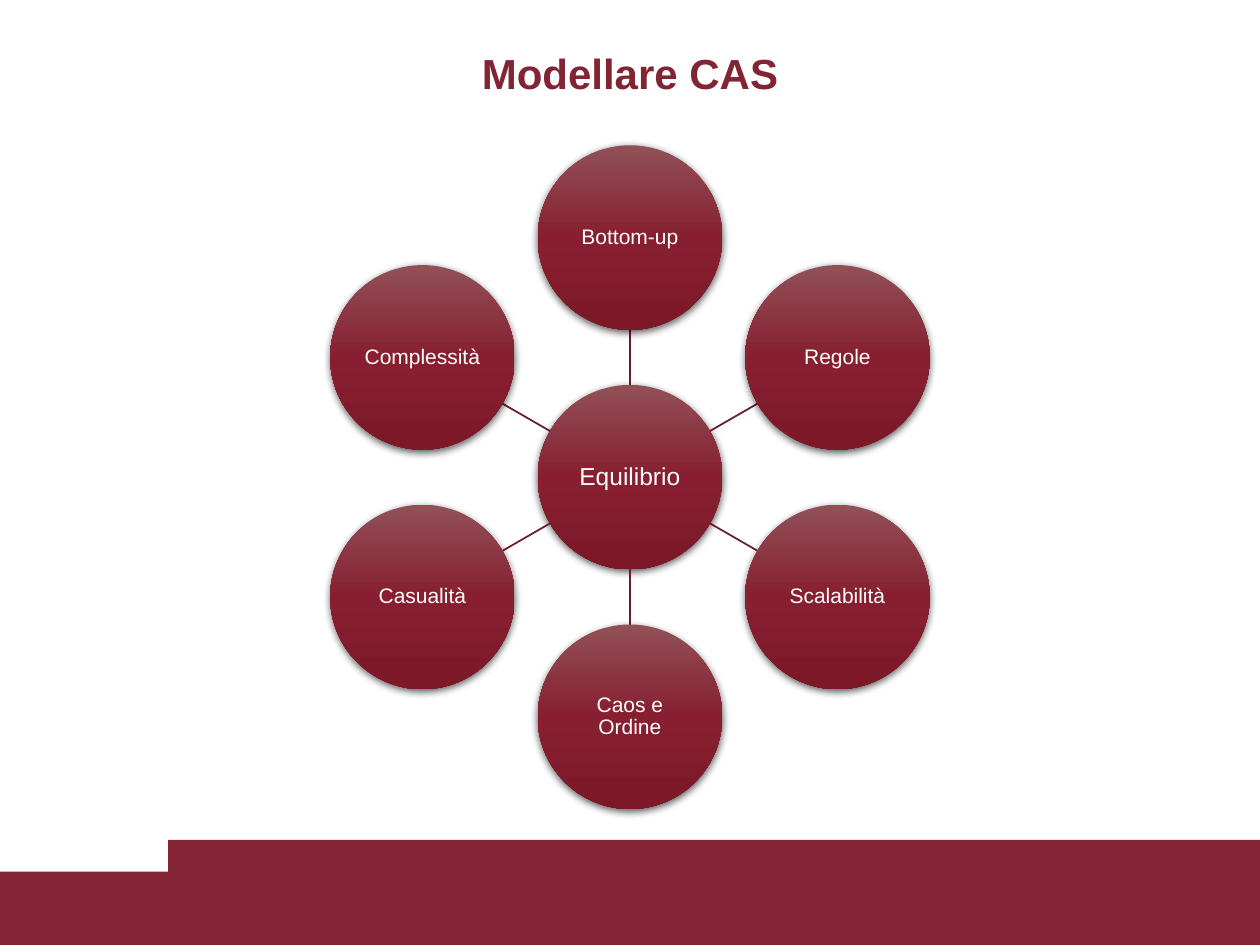
import copy
import math

import lxml.etree
import pptx
import pptx.dml.color
import pptx.enum.shapes
import pptx.enum.text
import pptx.oxml.ns
import pptx.util

Cm, Pt = pptx.util.Cm, pptx.util.Pt
RGBColor = pptx.dml.color.RGBColor
MSO_SHAPE = pptx.enum.shapes.MSO_SHAPE
PP_ALIGN = pptx.enum.text.PP_ALIGN
MSO_ANCHOR = pptx.enum.text.MSO_ANCHOR
qn = pptx.oxml.ns.qn

BURGUNDY = RGBColor(0x82, 0x24, 0x33)
SPOKE = RGBColor(0x68, 0x1D, 0x29)
WHITE = RGBColor(0xFF, 0xFF, 0xFF)
GRADIENT = [(0, RGBColor(0x91, 0x50, 0x57)),
            (0.5, RGBColor(0x87, 0x1F, 0x30)),
            (1, RGBColor(0x7C, 0x18, 0x28))]
FONT = "Arial"

# Wheel geometry in cm
CX, CY = 12.7, 9.62
RADIUS = 4.83
DIAMETER = 3.72
TOPICS = ["Bottom-up", "Regole", "Scalabilità",
          "Caos e Ordine", "Casualità", "Complessità"]


def add_circle(s, x, y, text, size):
    """Add a shaded circle centred on x, y."""
    sp = s.shapes.add_shape(MSO_SHAPE.OVAL, Cm(x - DIAMETER / 2),
                            Cm(y - DIAMETER / 2), Cm(DIAMETER), Cm(DIAMETER))
    sp.line.fill.background()

    # Three-stop gradient, top to bottom
    sp.fill.gradient()
    sp.fill.gradient_angle = 270
    stops = sp._element.spPr.find(".//" + qn("a:gsLst"))
    stops.insert(1, copy.deepcopy(stops[0]))
    for stop, (position, color) in zip(sp.fill.gradient_stops, GRADIENT):
        stop.position = position
        stop.color.rgb = color

    # Soft shadow below
    sp.shadow.inherit = False
    effects = sp._element.spPr.find(qn("a:effectLst"))
    shadow = lxml.etree.SubElement(
        effects, qn("a:outerShdw"), blurRad=str(Pt(4.5)), dist=str(Pt(1.5)),
        dir="5400000", rotWithShape="0")
    black = lxml.etree.SubElement(shadow, qn("a:srgbClr"), val="000000")
    lxml.etree.SubElement(black, qn("a:alpha"), val="63000")

    tf = sp.text_frame
    tf.word_wrap = True
    tf.vertical_anchor = MSO_ANCHOR.MIDDLE
    tf.margin_left = tf.margin_right = Cm(0.02)
    tf.margin_top = tf.margin_bottom = Cm(0.02)
    p = tf.paragraphs[0]
    p.text = text
    p.alignment = PP_ALIGN.CENTER
    p.line_spacing = 0.9
    p.font.name = FONT
    p.font.size = Pt(size)
    p.font.color.rgb = WHITE


prs = pptx.Presentation()
prs.slide_width, prs.slide_height = Cm(25.4), Cm(19.05)
s = prs.slides.add_slide(prs.slide_layouts[5])

# Stepped footer band
for left, top in [(0, 17.57), (3.39, 16.93)]:
    sp = s.shapes.add_shape(MSO_SHAPE.RECTANGLE, Cm(left), Cm(top),
                            Cm(25.4 - left), Cm(19.05 - top))
    sp.shadow.inherit = False
    sp.fill.solid()
    sp.fill.fore_color.rgb = BURGUNDY
    sp.line.fill.background()

# Title
title = s.shapes.title
title.left, title.top, title.width, title.height = Cm(2.2), Cm(0.76), Cm(21), Cm(1.4)
title.text_frame.vertical_anchor = MSO_ANCHOR.MIDDLE
p = title.text_frame.paragraphs[0]
p.text = "Modellare CAS"
p.alignment = PP_ALIGN.CENTER
p.font.name = FONT
p.font.size = Pt(24)
p.font.bold = True
p.font.color.rgb = BURGUNDY

# Hub, then spokes and topics clockwise from the top
add_circle(s, CX, CY, "Equilibrio", 14)
inner, outer = DIAMETER / 2, RADIUS - DIAMETER / 2
for i, topic in enumerate(TOPICS):
    angle = 2 * math.pi * i / len(TOPICS)
    dx, dy = math.sin(angle), -math.cos(angle)
    spoke = s.shapes.add_connector(
        pptx.enum.shapes.MSO_CONNECTOR.STRAIGHT,
        Cm(CX + inner * dx), Cm(CY + inner * dy),
        Cm(CX + outer * dx), Cm(CY + outer * dy))
    spoke.line.color.rgb = SPOKE
    spoke.line.width = Pt(1)
    lxml.etree.SubElement(spoke._element.spPr, qn("a:effectLst"))
    add_circle(s, CX + RADIUS * dx, CY + RADIUS * dy, topic, 12)

prs.save("out.pptx")
